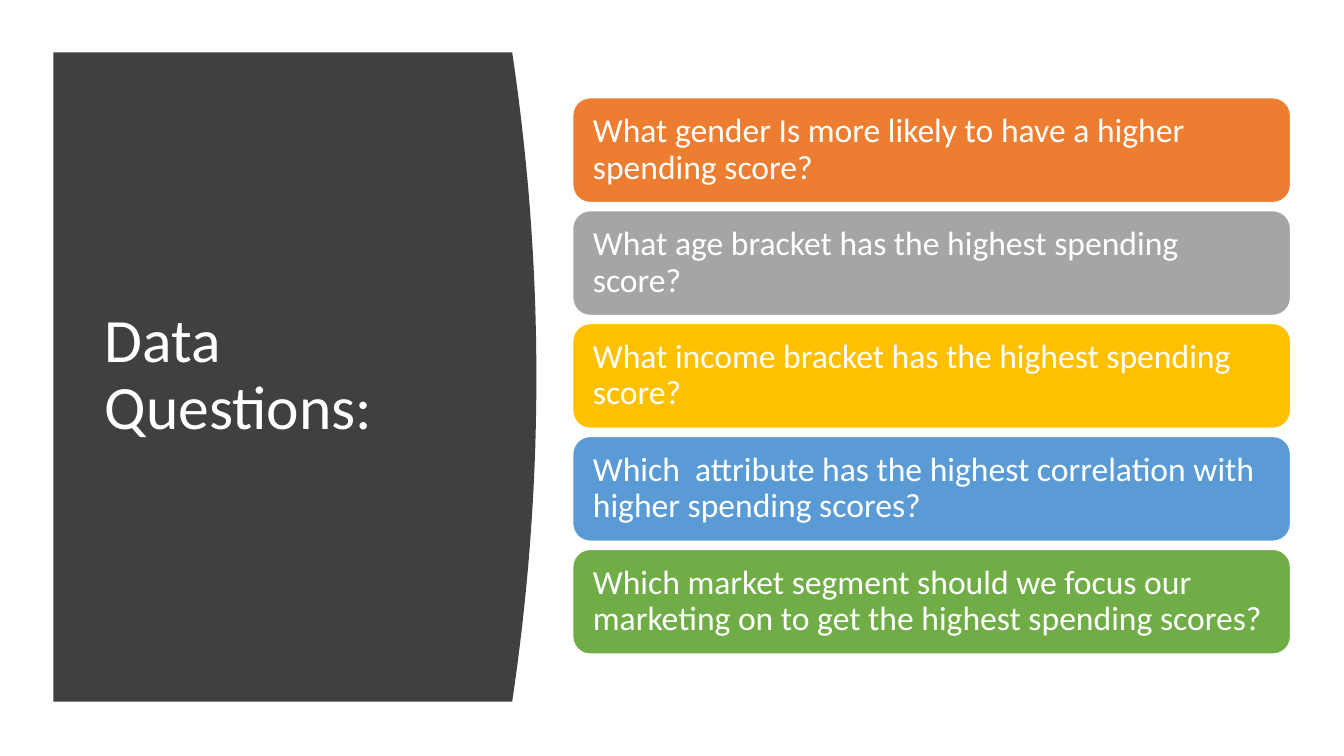
from pptx import Presentation
from pptx.dml.color import RGBColor
from pptx.enum import shapes, text
from pptx.util import Pt

PX = 9144  # EMU in one px, 100 px to the inch

QUESTIONS = [
    ("What gender Is more likely to have a higher spending score?", "ED7D31"),
    ("What age bracket has the highest spending score?", "A5A5A5"),
    ("What income bracket has the highest spending score?", "FFC000"),
    ("Which  attribute has the highest correlation with higher spending scores?", "5B9BD5"),
    ("Which market segment should we focus our marketing on to get the highest "
     "spending scores?", "70AD47"),
]


def px(length):
    return round(length * PX)


def colour(hex_code):
    return RGBColor.from_string(hex_code)


class QuestionSlide:
    font = "Calibri"
    light = "FFFFFF"
    dark = "404040"

    def __init__(self, deck):
        self.slide = deck.slides.add_slide(deck.slide_layouts[5])
        self.shapes = self.slide.shapes

    def set_words(self, frame, words, size):
        frame.word_wrap = True
        frame.auto_size = text.MSO_AUTO_SIZE.NONE
        frame.vertical_anchor = text.MSO_ANCHOR.MIDDLE
        paragraph = frame.paragraphs[0]
        paragraph.alignment = text.PP_ALIGN.LEFT
        paragraph.line_spacing = 0.9
        run = paragraph.add_run()
        run.text = words
        run.font.name = self.font
        run.font.size = Pt(size)
        run.font.color.rgb = colour(self.light)

    def curved_panel(self, left, top, right, bottom, bulge):
        """Draw a panel whose right side bows outwards as a parabola."""
        middle, half = (top + bottom) / 2, (bottom - top) / 2
        curve = [
            (px(right + bulge * (1 - ((y - middle) / half) ** 2)), px(y))
            for y in range(top, bottom + 1, 14)
        ]
        outline = self.shapes.build_freeform(px(left), px(top))
        outline.add_line_segments(curve + [(px(left), px(bottom))], close=True)
        panel = outline.convert_to_shape()
        panel.shadow.inherit = False
        panel.fill.solid()
        panel.fill.fore_color.rgb = colour(self.dark)
        panel.line.fill.background()

    def title(self, words, left, top, width, height):
        """Place the title in front of everything drawn so far."""
        heading = self.shapes.title
        heading.left, heading.top = px(left), px(top)
        heading.width, heading.height = px(width), px(height)
        self.set_words(heading.text_frame, words, 44)
        self.shapes.element.append(heading.element)

    def card(self, words, fill, left, top, width, height):
        card = self.shapes.add_shape(
            shapes.MSO_SHAPE.ROUNDED_RECTANGLE,
            px(left), px(top), px(width), px(height))
        card.shadow.inherit = False
        card.fill.solid()
        card.fill.fore_color.rgb = colour(fill)
        card.line.color.rgb = colour(self.light)
        card.line.width = Pt(1)
        frame = card.text_frame
        frame.margin_left = frame.margin_right = px(15)
        frame.margin_top = frame.margin_bottom = px(15)
        self.set_words(frame, words, 24)


def main():
    deck = Presentation()
    deck.slide_width, deck.slide_height = px(1333), px(750)
    page = QuestionSlide(deck)
    page.curved_panel(53, 52, 508, 696, bulge=24)
    page.title("Data Questions:", 94, 111, 374, 524)
    for row, (question, fill) in enumerate(QUESTIONS):
        page.card(question, fill, 568, 97 + 112 * row, 712, 104)
    deck.save("out.pptx")


if __name__ == "__main__":
    main()
